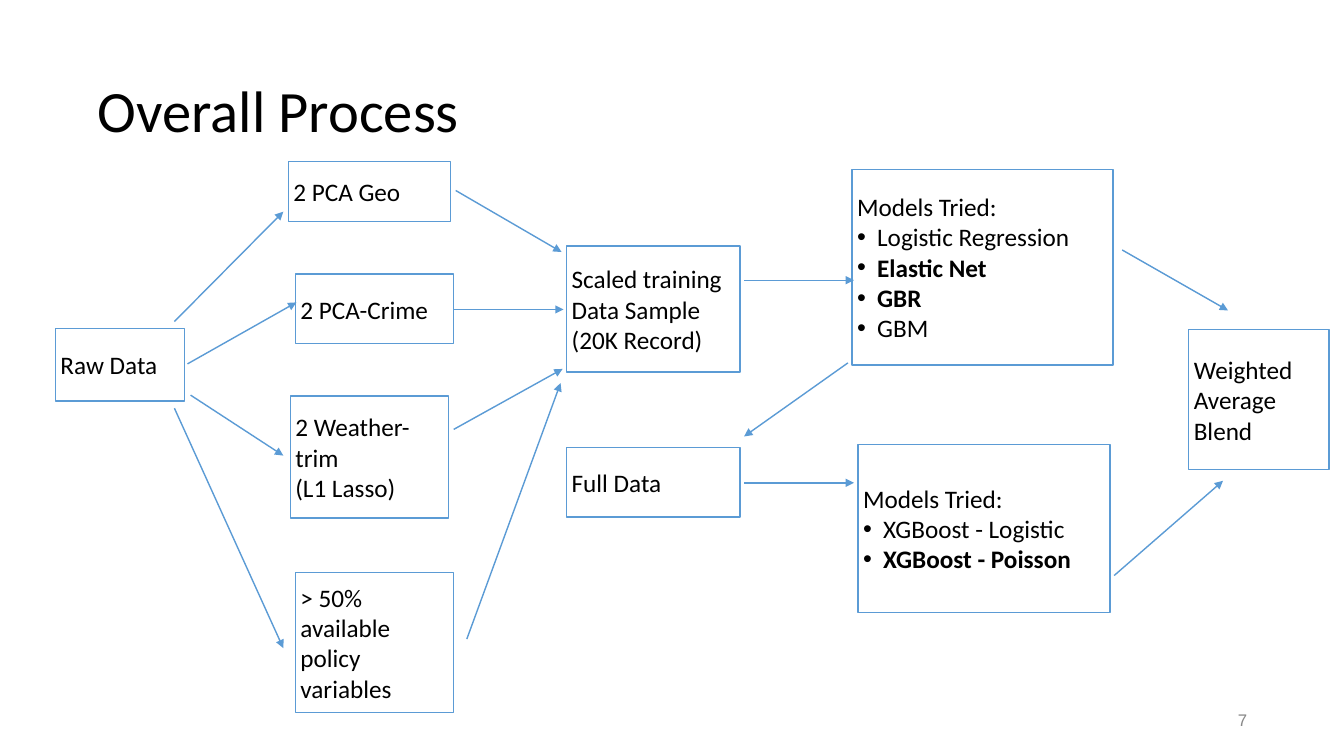
from lxml import etree
from pptx import Presentation
from pptx.dml.color import RGBColor
from pptx.enum.shapes import MSO_CONNECTOR, MSO_SHAPE
from pptx.enum.text import MSO_ANCHOR, MSO_AUTO_SIZE, PP_ALIGN
from pptx.oxml.ns import qn
from pptx.util import Inches, Pt

RECTANGLE = MSO_SHAPE.RECTANGLE
STRAIGHT = MSO_CONNECTOR.STRAIGHT
MIDDLE = MSO_ANCHOR.MIDDLE
LEFT, RIGHT = PP_ALIGN.LEFT, PP_ALIGN.RIGHT
NO_FIT, FIT_SHAPE = MSO_AUTO_SIZE.NONE, MSO_AUTO_SIZE.SHAPE_TO_FIT_TEXT
BLACK = RGBColor(0x00, 0x00, 0x00)
WHITE = RGBColor(0xFF, 0xFF, 0xFF)
BLUE = RGBColor(0x5B, 0x9B, 0xD5)
GRAY = RGBColor(0x88, 0x88, 0x88)

BOXES = [
    ((5.5, 32.6, 12.8, 7.2), ["Raw Data"]),
    ((28.6, 16, 16.1, 6), ["2 PCA Geo"]),
    ((29.3, 27.2, 15.7, 6.9), ["2 PCA-Crime"]),
    ((28.8, 39.3, 15.7, 12.1), ["2 Weather-trim", "(L1 Lasso)"]),
    ((29.3, 56.8, 15.7, 13.9), ["> 50% available policy variables"]),
    ((56.2, 24.4, 17.2, 12.5), ["Scaled training Data Sample", "(20K Record)"]),
    ((56.2, 44.4, 17.2, 6.9), ["Full Data"]),
    ((84.5, 16.8, 25.9, 19.4), ["Models Tried:", "Logistic Regression", "Elastic Net", "GBR", "GBM"]),
    ((85.1, 44.1, 25, 16.7), ["Models Tried:", "XGBoost - Logistic", "XGBoost - Poisson"]),
    ((117.9, 32.7, 13.9, 13.9), ["Weighted Average Blend"]),
]
CHOSEN_MODELS = {"Elastic Net", "GBR", "XGBoost - Poisson"}

ARROWS = [
    ((17.3, 31.9), (28.1, 21)),
    ((18.6, 36.1), (29.4, 30)),
    ((18.9, 39.2), (28.1, 45.2)),
    ((17.3, 40.5), (28.1, 64.3)),
    ((45.2, 18.9), (55.7, 25)),
    ((45, 30.7), (55.9, 30.7)),
    ((45, 42.6), (55.8, 36.6)),
    ((46.3, 63.4), (55.6, 38)),
    ((73.8, 27.8), (84.7, 27.8)),
    ((84.1, 36), (73.8, 43.3)),
    ((73.8, 47.9), (84.7, 47.9)),
    ((111.3, 24.8), (121.8, 30.8)),
    ((110.5, 57.1), (121.3, 47.7)),
]


class ProcessSlide:
    """Draws on one slide, with lengths in columns and rows of a tenth of an inch."""

    cell = Inches(0.1)
    inset = Inches(0.05)
    indent = Inches(0.2)
    font = "Calibri"

    def __init__(self, deck):
        self.page = deck.slides.add_slide(deck.slide_layouts[5])

    def place(self, *lengths):
        return [round(length * self.cell) for length in lengths]

    def frame(self, shape, wrap=True, fit=NO_FIT):
        frame = shape.text_frame
        frame.word_wrap = wrap
        frame.auto_size = fit
        frame.vertical_anchor = MIDDLE
        frame.margin_left = frame.margin_right = self.inset
        frame.margin_top = frame.margin_bottom = self.inset
        return frame

    def span(self, para, text, size=18, color=BLACK, font=font, bold=False, align=LEFT):
        para.alignment = align
        span = para.add_run()
        span.text = text
        span.font.name = font
        span.font.size = Pt(size)
        span.font.bold = bold
        span.font.color.rgb = color

    def bullet(self, para):
        properties = para._p.get_or_add_pPr()
        properties.set("marL", str(self.indent))
        properties.set("indent", str(-self.indent))
        etree.SubElement(properties, qn("a:buFont"), typeface="Arial")
        etree.SubElement(properties, qn("a:buChar"), char="•")

    def title(self, text, area):
        box = self.page.shapes.title
        box.left, box.top, box.width, box.height = self.place(*area)
        para = self.frame(box).paragraphs[0]
        para.line_spacing = 0.9
        self.span(para, text, size=41.8)

    def box(self, area, lines):
        box = self.page.shapes.add_shape(RECTANGLE, *self.place(*area))
        box.shadow.inherit = False
        box.fill.solid()
        box.fill.fore_color.rgb = WHITE
        box.line.color.rgb = BLUE
        box.line.width = Pt(1)
        frame = self.frame(box)
        for index, text in enumerate(lines):
            para = frame.add_paragraph() if index else frame.paragraphs[0]
            self.span(para, text, bold=text in CHOSEN_MODELS)
            if index and lines[0] == "Models Tried:":
                self.bullet(para)

    def arrow(self, start, end):
        arrow = self.page.shapes.add_connector(STRAIGHT, *self.place(*start, *end))
        arrow.line.color.rgb = BLUE
        arrow.line.width = Pt(1)
        properties = arrow._element.spPr
        etree.SubElement(properties.find(qn("a:ln")), qn("a:tailEnd"), type="triangle")
        etree.SubElement(properties, qn("a:effectLst"))

    def page_number(self, text, area):
        box = self.page.shapes.add_textbox(*self.place(*area))
        para = self.frame(box, wrap=False, fit=FIT_SHAPE).paragraphs[0]
        self.span(para, text, size=12, color=GRAY, font="Arial", align=RIGHT)


def main():
    deck = Presentation()
    deck.slide_width, deck.slide_height = Inches(13.33), Inches(7.5)
    slide = ProcessSlide(deck)
    slide.title("Overall Process", (9.2, 4, 115, 14.5))
    for area, lines in BOXES:
        slide.box(area, lines)
    for start, end in ARROWS:
        slide.arrow(start, end)
    slide.page_number("7", (121.3, 70, 2.9, 2.9))
    deck.save("out.pptx")


if __name__ == "__main__":
    main()
